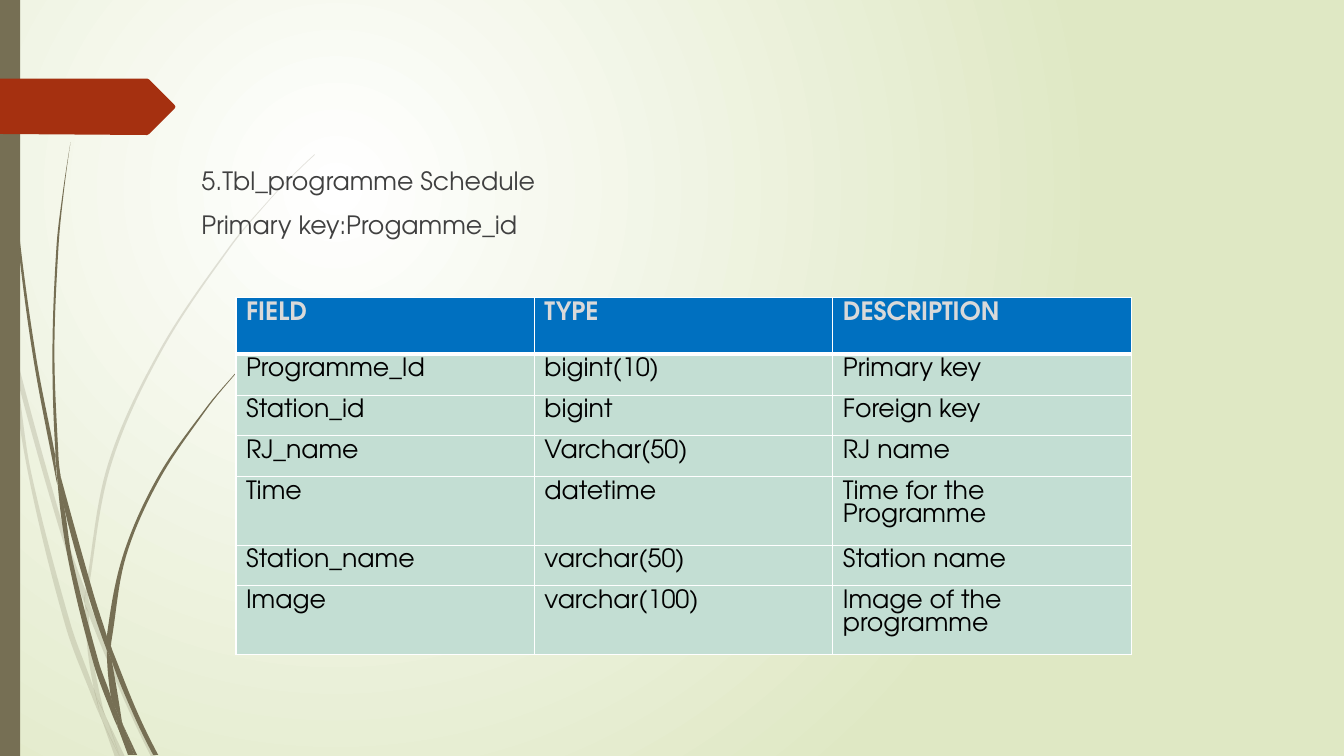
"""Build a database table slide with curved grass blades on the left."""
from pptx import Presentation
from pptx.dml.color import RGBColor
from pptx.enum.shapes import MSO_SHAPE
from pptx.oxml import parse_xml
from pptx.oxml.ns import nsdecls, qn
from pptx.util import Pt

PX = 9144
FONT = "TeX Gyre Adventor"
SIZE = Pt(18)
COLORS = {
    "white": "FFFFFF", "edge": "DFE8C4", "grass": "766F54", "tag": "A53010",
    "body": "404040", "head": "0070C0", "head_text": "D9D9D9",
    "cell": "C3DED3", "cell_text": "000000",
}

INTRO = ["5.Tbl_programme Schedule", "Primary key:Progamme_id"]
INTRO_BOX = (190, 159, 1054, 483)

ROWS = [
    ("FIELD", "TYPE", "DESCRIPTION"),
    ("Programme_Id", "bigint(10)", "Primary key"),
    ("Station_id", "bigint", "Foreign key"),
    ("RJ_name", "Varchar(50)", "RJ name"),
    ("Time", "datetime", "Time for the Programme"),
    ("Station_name", "varchar(50)", "Station name"),
    ("Image", "varchar(100)", "Image of the programme"),
]
ROW_HEIGHTS = [56, 41, 40, 41, 57, 40, 57]
TABLE_X, TABLE_Y, COL_W, CELL_PAD = 234, 295, 296, 4

TAG = [(0, 78), (146, 78), (148, 79), (173, 104), (174, 106),
       (173, 108), (148, 133), (146, 134), (0, 133)]

# Each blade is a pair of edges: one out, one back.
PALE_BLADES = [
    ([(11, 350), (9, 322), (0, 282)], [(0, 299), (10, 344), (11, 350)]),
    ([(17, 376), (58, 522), (84, 599)], [(85, 586), (62, 520), (14, 345)]),
    ([(88, 596), (92, 607), (127, 692), (155, 751)],
     [(150, 751), (123, 694), (88, 610)]),
    ([(105, 711), (124, 751)], [(119, 751), (105, 711)]),
    ([(11, 350), (28, 470), (65, 621), (92, 693), (101, 714)],
     [(99, 707), (93, 683), (70, 619), (31, 469), (17, 376), (11, 350)]),
    ([(84, 599), (87, 646), (93, 683), (96, 692), (105, 711)],
     [(103, 706), (91, 646), (88, 610), (88, 608), (84, 599)]),
    ([(88, 596), (88, 584), (110, 462), (160, 349), (229, 245), (268, 198),
      (290, 175), (312, 154)],
     [(312, 153), (289, 175), (268, 197), (228, 244), (158, 348), (107, 461),
      (85, 584), (85, 586)]),
    ([(101, 714), (114, 751)], [(119, 751), (101, 714)]),
    ([(88, 610), (88, 596)], [(85, 586), (84, 599), (88, 608)]),
    ([(93, 683), (99, 707), (101, 714), (119, 751)],
     [(119, 751), (105, 711), (96, 692)]),
]
DARK_BLADES = [
    ([(3, 0), (4, 48), (7, 110), (17, 233), (33, 355), (56, 477), (57, 481)],
     [(57, 481), (55, 457), (55, 453), (36, 355), (19, 232), (8, 109),
      (5, 48), (4, 0)]),
    ([(60, 472), (64, 505), (88, 592), (106, 645)],
     [(106, 633), (106, 631), (93, 590), (60, 472)]),
    ([(110, 641), (111, 656), (132, 708), (152, 749)],
     [(157, 749), (136, 706), (113, 649), (110, 641)]),
    ([(57, 477), (68, 557), (93, 659), (111, 708), (117, 722)],
     [(116, 717), (110, 691), (98, 657), (72, 556), (64, 505), (57, 477)]),
    ([(60, 472), (58, 453), (54, 349), (58, 245), (63, 193), (70, 141)],
     [(70, 141), (62, 193), (56, 245), (52, 349), (55, 449), (60, 472)]),
    ([(122, 719), (133, 749)], [(136, 749), (122, 719)]),
    ([(57, 477), (64, 505)], [(60, 472), (55, 449), (55, 453), (57, 477)]),
    ([(110, 641), (111, 633), (125, 552), (158, 476), (205, 406), (231, 374),
      (245, 359), (261, 344)],
     [(260, 344), (245, 358), (231, 373), (204, 405), (156, 474), (122, 551),
      (106, 631), (110, 641)]),
    ([(117, 722), (127, 749)], [(131, 749), (117, 722)]),
    ([(106, 645), (110, 691), (116, 706), (122, 719)],
     [(121, 716), (111, 656), (109, 651), (106, 645)]),
    ([(106, 645), (109, 651), (111, 656), (110, 641)],
     [(106, 631), (106, 633), (106, 645)]),
    ([(110, 691), (116, 717), (117, 722), (130, 749)],
     [(133, 749), (122, 719), (116, 706), (110, 691)]),
]


def rgb(name):
    return RGBColor.from_string(COLORS[name])


def unit(z):
    return z / abs(z)


def end_way(chord, neighbour):
    return unit(chord) ** 2 * neighbour.conjugate()


def handles(edge):
    """Return the two control points of each curve along an edge."""
    pts = [complex(*xy) for xy in edge]
    inner = [unit(b - a) for a, b in zip(pts, pts[2:])] or [unit(pts[1] - pts[0])]
    ways = [end_way(pts[1] - pts[0], inner[0])]
    ways += inner if len(pts) > 2 else []
    ways.append(end_way(pts[-1] - pts[-2], inner[-1]))
    result = []
    for a, b, way_a, way_b in zip(pts, pts[1:], ways, ways[1:]):
        reach = abs(b - a) / 3
        result.append((a + way_a * reach, b - way_b * reach))
    return result


def paint(sp, color, alpha=None):
    sp.shadow.inherit = False
    sp.fill.solid()
    sp.fill.fore_color.rgb = rgb(color)
    sp.line.fill.background()
    if alpha:
        clr = sp.element.spPr.find(".//" + qn("a:srgbClr"))
        clr.append(parse_xml(f'<a:alpha {nsdecls("a")} val="{alpha * 1000}"/>'))


def outline(s, points, color, alpha=None):
    pts = [(x * PX, y * PX) for x, y in points]
    builder = s.shapes.build_freeform(*pts[0])
    builder.add_line_segments(pts[1:], close=True)
    sp = builder.convert_to_shape()
    paint(sp, color, alpha)
    return sp


def add_blade(s, out, back, alpha):
    sp = outline(s, out + back, "grass", alpha)
    controls = handles(out) + [None] + handles(back)
    for line, pair in zip(sp.element.findall(".//" + qn("a:lnTo")), controls):
        if pair:
            curve = parse_xml(f'<a:cubicBezTo {nsdecls("a")}/>')
            for z in pair:
                x, y = round(z.real * PX) - sp.left, round(z.imag * PX) - sp.top
                curve.append(parse_xml(f'<a:pt {nsdecls("a")} x="{x}" y="{y}"/>'))
            curve.append(line[0])
            line.getparent().replace(line, curve)


def style(p, color, bold=False):
    for r in p.runs:
        r.font.name, r.font.size, r.font.bold = FONT, SIZE, bold
        r.font.color.rgb = rgb(color)


def set_background(s):
    s.background.fill.solid()
    bg = s.element.find(".//" + qn("p:bgPr"))
    bg.replace(bg[0], parse_xml(
        f'<a:gradFill {nsdecls("a")} rotWithShape="1"><a:gsLst>'
        f'<a:gs pos="0"><a:srgbClr val="{COLORS["white"]}"/></a:gs>'
        f'<a:gs pos="100000"><a:srgbClr val="{COLORS["edge"]}"/></a:gs></a:gsLst>'
        '<a:path path="circle"><a:fillToRect l="50000" t="50000" r="100000" '
        'b="100000"/></a:path></a:gradFill>'))


def set_borders(cell, row):
    widths = {"L": 1, "R": 1, "T": 3 if row == 1 else 1, "B": 3 if row == 0 else 1}
    for i, (side, width) in enumerate(widths.items()):
        cell._tc.get_or_add_tcPr().insert(i, parse_xml(
            f'<a:ln{side} {nsdecls("a")} w="{Pt(width)}"><a:solidFill>'
            f'<a:srgbClr val="{COLORS["white"]}"/></a:solidFill></a:ln{side}>'))


def add_fields(s):
    cols = len(ROWS[0])
    box = (TABLE_X, TABLE_Y, COL_W * cols, sum(ROW_HEIGHTS))
    table = s.shapes.add_table(len(ROWS), cols, *[v * PX for v in box]).table
    table.horz_banding = False
    for i, (texts, height) in enumerate(zip(ROWS, ROW_HEIGHTS)):
        table.rows[i].height = height * PX
        head = i == 0
        for j, text in enumerate(texts):
            cell = table.cell(i, j)
            cell.text = text
            cell.margin_top = cell.margin_bottom = CELL_PAD * PX
            cell.fill.solid()
            cell.fill.fore_color.rgb = rgb("head" if head else "cell")
            set_borders(cell, i)
            style(cell.text_frame.paragraphs[0], "head_text" if head else "cell_text", head)


def main():
    prs = Presentation()
    prs.slide_width, prs.slide_height = 1333 * PX, 750 * PX
    s = prs.slides.add_slide(prs.slide_layouts[6])
    set_background(s)
    for blades, alpha in ((PALE_BLADES, 20), (DARK_BLADES, None)):
        for out, back in blades:
            add_blade(s, out, back, alpha)
    bar = s.shapes.add_shape(MSO_SHAPE.RECTANGLE, 0, 0, 20 * PX, 750 * PX)
    paint(bar, "grass")
    outline(s, TAG, "tag")
    tf = s.shapes.add_textbox(*[v * PX for v in INTRO_BOX]).text_frame
    tf.word_wrap = True
    tf.text = "\n".join(INTRO)
    for i, p in enumerate(tf.paragraphs):
        p.space_before = Pt(10 if i else 0)
        style(p, "body")
    add_fields(s)
    prs.save("out.pptx")


if __name__ == "__main__":
    main()
